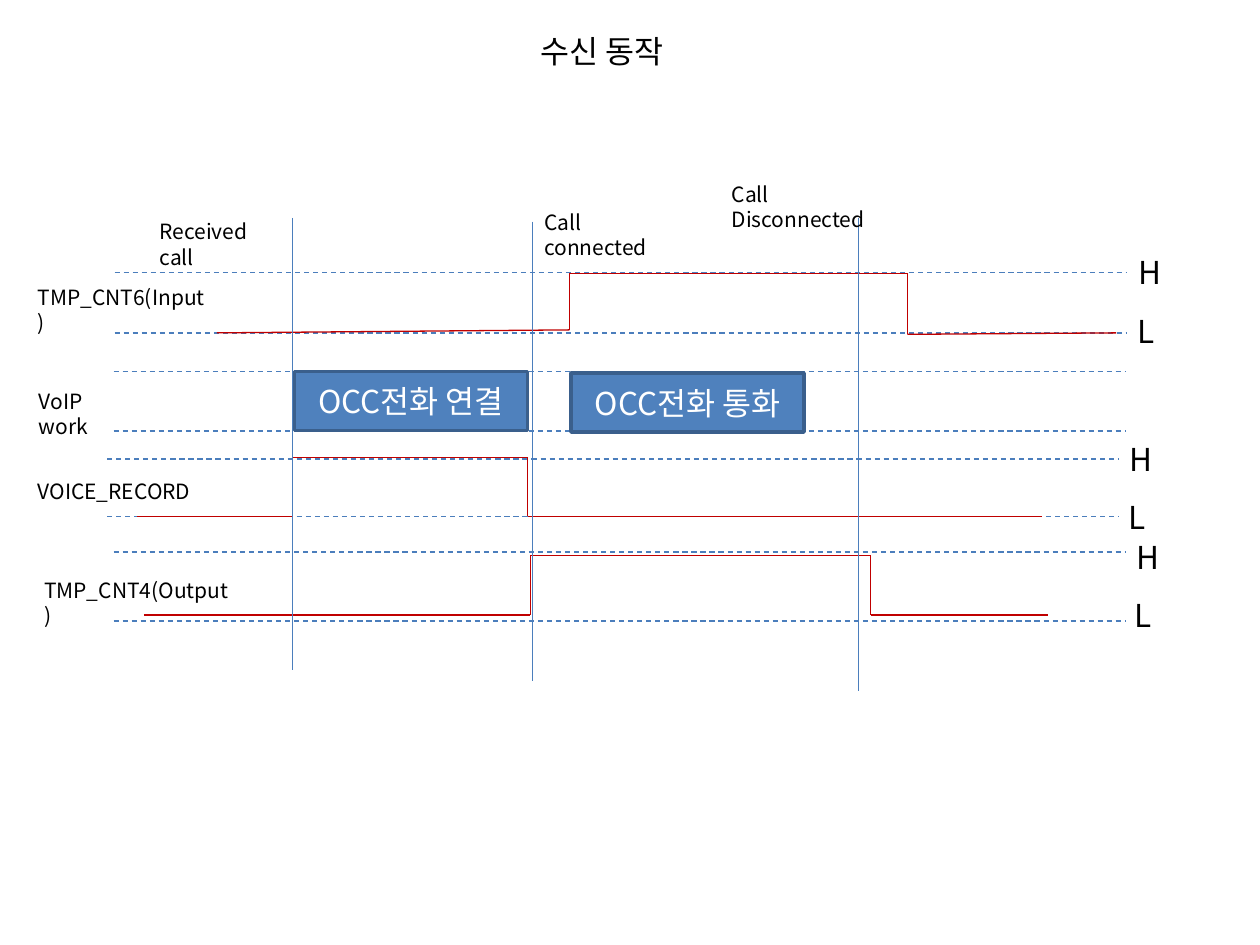
from dataclasses import dataclass
from itertools import pairwise

from lxml import etree
from pptx import Presentation
from pptx import util as u
from pptx.dml.color import RGBColor
from pptx.enum import dml, shapes, text
from pptx.oxml import ns
from pptx.slide import Slide


@dataclass(frozen=True)
class Theme:
    font: str = "Noto Sans CJK KR"
    black: str = "000000"
    white: str = "FFFFFF"
    guide: str = "4B7EBC"
    signal: str = "C00000"
    fill: str = "4F81BD"
    border: str = "3A5F8C"
    large: int = 18
    small: int = 12
    thin: float = 0.75
    thick: float = 2


Point = tuple[float, float]


@dataclass(frozen=True)
class Label:
    wording: str
    left: float
    top: float
    width: float


@dataclass(frozen=True)
class Row:
    name: Label
    left: float
    high: float
    low: float
    wave: tuple[Point, ...] = ()
    mark: Point | None = None


@dataclass(frozen=True)
class Event:
    label: Label
    x: float
    top: float
    bottom: float


@dataclass(frozen=True)
class Phase:
    wording: str
    left: float
    top: float


THEME = Theme()
GUIDE_LENGTH = 20.4
LEVEL_GAP = 1.18
PHASE_WIDTH, PHASE_HEIGHT = 4.7, 1.19

TITLE = Label("수신 동작", 10.64, 0.53, 3.3)


def pulse(start: float, rise: float, fall: float, end: float,
          high: float, low: float) -> tuple[Point, ...]:
    return ((start, low), (rise, low), (rise, high),
            (fall, high), (fall, low), (end, low))


ROWS = (
    Row(Label("TMP_CNT6(Input)", 0.51, 5.61, 3.89), 2.31, 5.49, 6.71,
        ((4.37, 6.71), (11.48, 6.65), (11.48, 5.51),
         (18.29, 5.51), (18.29, 6.74), (22.5, 6.71)), (22.71, 4.98)),
    Row(Label("VoIP work", 0.53, 7.7, 2.46), 2.29, 7.49, 8.69),
    Row(Label("VOICE_RECORD", 0.51, 9.53, 3.68), 2.16, 9.25, 10.41,
        pulse(2.77, 5.89, 10.64, 21.01, 9.22, 10.41), (22.53, 8.74)),
    Row(Label("TMP_CNT4(Output)", 0.64, 11.51, 4.27), 2.29, 11.13, 12.52,
        pulse(2.9, 10.69, 17.55, 21.13, 11.2, 12.4), (22.66, 10.72)),
)

EVENTS = (
    Event(Label("Received call", 2.97, 4.29, 3), 5.89, 4.39, 13.51),
    Event(Label("Call connected", 10.72, 4.09, 3.38), 10.74, 4.47, 13.72),
    Event(Label("Call Disconnected", 14.5, 3.53, 3.99), 17.3, 4.39, 13.92),
)

PHASES = (
    Phase("OCC전화 연결", 5.94, 7.49),
    Phase("OCC전화 통화", 11.51, 7.52),
)


def style_text(para, wording: str, size: int, color: str) -> None:
    para.add_run().text = wording
    para.font.name = THEME.font
    para.font.size = u.Pt(size)
    para.font.color.rgb = RGBColor.from_string(color)
    properties = para._p.get_or_add_pPr().get_or_add_defRPr()
    etree.SubElement(properties, ns.qn("a:ea"), typeface=THEME.font)


def draw_label(page: Slide, label: Label, size: int) -> None:
    height = 1.02 if size == THEME.large else 0.76
    box = page.shapes.add_textbox(u.Cm(label.left), u.Cm(label.top),
                                  u.Cm(label.width), u.Cm(height))
    frame = box.text_frame
    frame.word_wrap = True
    frame.auto_size = text.MSO_AUTO_SIZE.SHAPE_TO_FIT_TEXT
    style_text(frame.paragraphs[0], label.wording, size, THEME.black)


def draw_line(page: Slide, start: Point, end: Point, color: str,
              dashed: bool = False) -> None:
    line = page.shapes.add_connector(
        shapes.MSO_CONNECTOR.STRAIGHT,
        *(u.Cm(value) for value in (*start, *end)))
    line.line.color.rgb = RGBColor.from_string(color)
    line.line.width = u.Pt(THEME.thin)
    if dashed:
        line.line.dash_style = dml.MSO_LINE.DASH
    etree.SubElement(line._element.spPr, ns.qn("a:effectLst"))


def draw_row(page: Slide, row: Row) -> None:
    for level in (row.low, row.high):
        draw_line(page, (row.left, level), (row.left + GUIDE_LENGTH, level),
                  THEME.guide, dashed=True)
    draw_label(page, row.name, THEME.small)
    for start, end in pairwise(row.wave):
        draw_line(page, start, end, THEME.signal)
    if row.mark:
        left, top = row.mark
        draw_label(page, Label("H", left, top, 0.97), THEME.large)
        draw_label(page, Label("L", left - 0.03, top + LEVEL_GAP, 0.81),
                   THEME.large)


def draw_event(page: Slide, event: Event) -> None:
    draw_line(page, (event.x, event.top), (event.x, event.bottom), THEME.guide)
    draw_label(page, event.label, THEME.small)


def draw_phase(page: Slide, phase: Phase) -> None:
    box = page.shapes.add_shape(
        shapes.MSO_SHAPE.RECTANGLE, u.Cm(phase.left), u.Cm(phase.top),
        u.Cm(PHASE_WIDTH), u.Cm(PHASE_HEIGHT))
    box.shadow.inherit = False
    box.fill.solid()
    box.fill.fore_color.rgb = RGBColor.from_string(THEME.fill)
    box.line.color.rgb = RGBColor.from_string(THEME.border)
    box.line.width = u.Pt(THEME.thick)
    box.text_frame.vertical_anchor = text.MSO_ANCHOR.MIDDLE
    para = box.text_frame.paragraphs[0]
    para.alignment = text.PP_ALIGN.CENTER
    style_text(para, phase.wording, THEME.large, THEME.white)


def main() -> None:
    deck = Presentation()
    deck.slide_width, deck.slide_height = u.Cm(25.4), u.Cm(19.05)
    page = deck.slides.add_slide(deck.slide_layouts[6])
    draw_label(page, TITLE, THEME.large)
    for row in ROWS:
        draw_row(page, row)
    for event in EVENTS:
        draw_event(page, event)
    for phase in PHASES:
        draw_phase(page, phase)
    deck.save("out.pptx")


if __name__ == "__main__":
    main()
